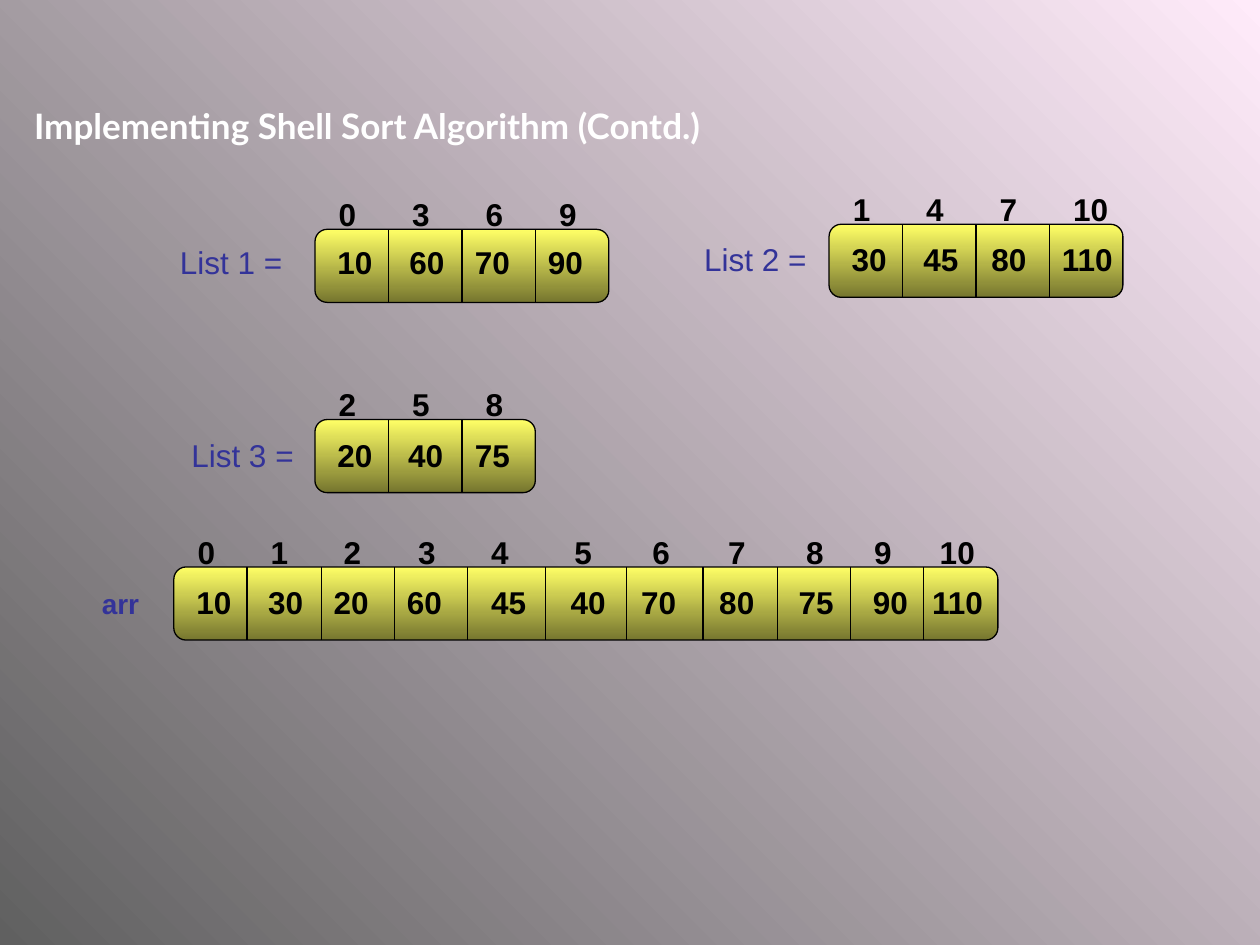
"""Build a slide showing the sublists and the merged array of a Shell sort."""
from lxml.etree import SubElement
from pptx import Presentation
from pptx.dml.color import RGBColor
from pptx.enum.shapes import MSO_CONNECTOR as CONN, MSO_SHAPE as SHAPE
from pptx.enum.text import MSO_ANCHOR as ANCHOR, MSO_AUTO_SIZE as AUTO, PP_ALIGN as ALIGN
from pptx.oxml.ns import qn
from pptx.util import Inches, Pt

CELL, HEIGHT = 0.583, 0.58


def rgb(value):
    return RGBColor.from_string(value)


def gradient(fill, start, end, angle):
    fill.gradient()
    fill.gradient_angle = angle
    for stop, color in zip(fill.gradient_stops, (start, end)):
        stop.color.rgb = rgb(color)


class Deck:
    ink, accent, white = "000000", "333399", "FFFFFF"
    font, title_font = "Arial", "Lato"

    def __init__(self):
        self.prs = Presentation()
        self.prs.slide_width, self.prs.slide_height = Inches(10), Inches(7.5)
        self.s = self.prs.slides.add_slide(self.prs.slide_layouts[5])
        gradient(self.s.background.fill, "606060", "FFEBFA", 45)

    def style(self, tf, text, size, color, font, bold):
        tf.text = text
        p = tf.paragraphs[0]
        p.alignment = ALIGN.LEFT
        f = p.runs[0].font
        f.name, f.size, f.bold = font, Pt(size), bold
        f.color.rgb = rgb(color)

    def title(self, text, x, y, w, h):
        sp = self.s.shapes.title
        sp.left, sp.top, sp.width, sp.height = map(Inches, (x, y, w, h))
        tf = sp.text_frame
        tf.auto_size = AUTO.NONE
        tf.vertical_anchor = ANCHOR.MIDDLE
        self.style(tf, text, 20, self.white, self.title_font, True)

    def text(self, text, x, y, w, color=ink, size=18, bold=True, wrap=True):
        sp = self.s.shapes.add_textbox(*map(Inches, (x, y, w, 0.4)))
        tf = sp.text_frame
        tf.word_wrap = wrap
        tf.auto_size = AUTO.SHAPE_TO_FIT_TEXT
        self.style(tf, text, size, color, self.font, bold)

    def bar(self, x, y, w):
        sp = self.s.shapes.add_shape(SHAPE.ROUNDED_RECTANGLE, *map(Inches, (x, y, w, HEIGHT)))
        sp.adjustments[0] = 0.167
        sp.shadow.inherit = False
        gradient(sp.fill, "FFFF66", "76762F", 270)
        self.outline(sp.line)

    def divider(self, x, y):
        c = self.s.shapes.add_connector(CONN.STRAIGHT, *map(Inches, (x, y, x, y + HEIGHT)))
        self.outline(c.line)
        SubElement(c._element.spPr, qn("a:effectLst"))

    def outline(self, line):
        line.color.rgb = rgb(self.ink)
        line.width = Pt(0.75)

    def array(self, x, y, w, dividers, indexes, index_lefts, values, value_lefts, drop=0.08):
        self.bar(x, y, w)
        for left in dividers:
            self.divider(left, y)
        for index, left in zip(indexes, index_lefts):
            self.text(str(index), left, y - 0.32, 0.2 + 0.14 * len(str(index)), wrap=False)
        for value, left in zip(values, value_lefts):
            self.text(str(value), left, y + drop, 0.51 if value < 100 else 0.67)

    def sublist(self, name, label_x, x, y, indexes, values, value_lefts, drop=0.08):
        lefts = [x + i * CELL for i in range(len(values))]
        self.array(x, y, len(values) * CELL, lefts[1:], indexes,
                   [left + 0.09 for left in lefts], values, value_lefts, drop)
        self.text(name, label_x, y + drop, 1.17, self.accent, bold=False)


def main():
    deck = Deck()
    deck.title("Implementing Shell Sort Algorithm (Contd.)", 0.17, 0.78, 7.5, 0.44)
    deck.sublist("List 1 =", 1.33, 2.5, 1.82, (0, 3, 6, 9), (10, 60, 70, 90),
                 (2.58, 3.15, 3.67, 4.25), drop=0.06)
    deck.sublist("List 2 =", 5.49, 6.58, 1.78, (1, 4, 7, 10), (30, 45, 80, 110),
                 (6.66, 7.23, 7.77, 8.33))
    deck.sublist("List 3 =", 1.42, 2.5, 3.33, (2, 5, 8), (20, 40, 75),
                 (2.58, 3.14, 3.67))
    deck.array(1.38, 4.5, 6.54,
               (1.96, 2.55, 3.13, 3.71, 4.33, 4.97, 5.58, 6.17, 6.75, 7.33),
               range(11),
               (1.47, 2.05, 2.63, 3.22, 3.8, 4.46, 5.08, 5.68, 6.3, 6.84, 7.36),
               (10, 30, 20, 60, 45, 40, 70, 80, 75, 90, 110),
               (1.46, 2.03, 2.55, 3.13, 3.8, 4.43, 4.99, 5.61, 6.24, 6.83, 7.3))
    deck.text("arr", 0.71, 4.61, 0.6, deck.accent, 16)
    deck.prs.save("out.pptx")


if __name__ == "__main__":
    main()
